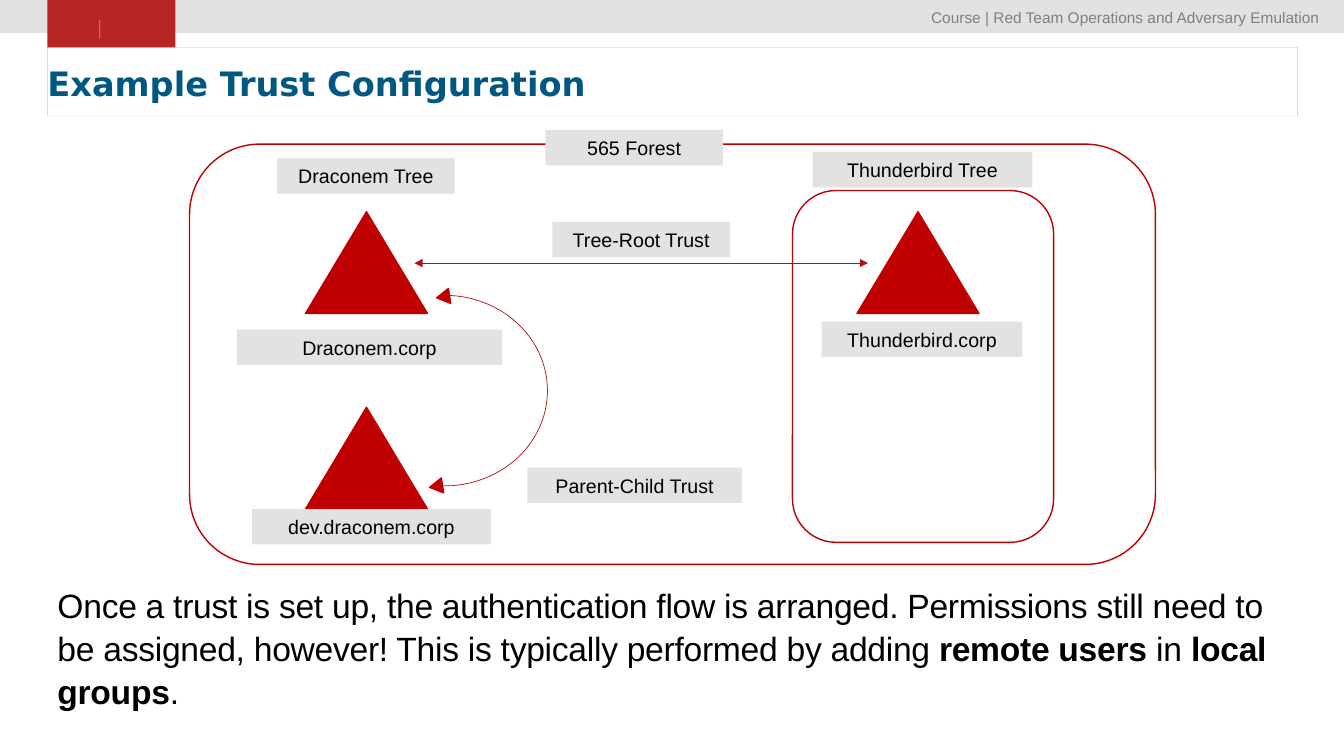
from pptx import Presentation
from pptx.dml.color import RGBColor
from pptx.enum.shapes import MSO_CONNECTOR as Connector, MSO_SHAPE as Shape
from pptx.enum.text import MSO_ANCHOR as Anchor, MSO_AUTO_SIZE as AutoSize, PP_ALIGN as Align
from pptx.oxml.ns import qn
from pptx.util import Inches, Pt
from lxml.etree import SubElement

BLACK = RGBColor(0x00, 0x00, 0x00)
WHITE = RGBColor(0xFF, 0xFF, 0xFF)
PALE_GRAY = RGBColor(0xE3, 0xE1, 0xE1)
MID_GRAY = RGBColor(0x7F, 0x7F, 0x7F)
TAB_RED = RGBColor(0xB5, 0x26, 0x24)
TREE_RED = RGBColor(0xC0, 0x00, 0x00)
TRUST_RED = RGBColor(0xB1, 0x11, 0x16)
TITLE_BLUE = RGBColor(0x00, 0x58, 0x80)

LABELS = [
    ("Draconem.corp", 2.35, 3.27, 2.63),
    ("dev.draconem.corp", 2.5, 5.05, 2.37),
    ("565 Forest", 5.41, 1.29, 1.76),
    ("Draconem Tree", 2.75, 1.57, 1.76),
    ("Thunderbird Tree", 8.06, 1.51, 2.18),
    ("Thunderbird.corp", 8.15, 3.19, 1.99),
    ("Tree-Root Trust", 5.48, 2.2, 1.76),
    ("Parent-Child Trust", 5.23, 4.64, 2.13),
]
DOMAINS = [(3.03, 2.1), (3.03, 4.04), (8.5, 2.1)]
ARC_HEADS = [(4.32, 2.88), (4.25, 4.76)]


def place(shape, left, top, width, height):
    shape.left, shape.top = Inches(left), Inches(top)
    shape.width, shape.height = Inches(width), Inches(height)


def set_insets(frame, left, top, right, bottom):
    frame.margin_left, frame.margin_top = Inches(left), Inches(top)
    frame.margin_right, frame.margin_bottom = Inches(right), Inches(bottom)


def write(frame, *runs, size=14, font="Arial", color=BLACK, bold=False,
          align=Align.LEFT, anchor=Anchor.TOP, line_spacing=None, tracking=0):
    """Fill one paragraph; a run is text, or a (text, bold) pair."""
    frame.word_wrap = True
    frame.auto_size = AutoSize.NONE
    frame.vertical_anchor = anchor
    paragraph = frame.paragraphs[0]
    paragraph.alignment = align
    paragraph.space_before = Pt(0)
    if line_spacing:
        paragraph.line_spacing = line_spacing
    for item in runs:
        text, is_bold = item if isinstance(item, tuple) else (item, bold)
        run = paragraph.add_run()
        run.text = text
        run.font.size, run.font.name, run.font.bold = Pt(size), font, is_bold
        run.font.color.rgb = color
        if tracking:
            run._r.get_or_add_rPr().set("spc", str(round(tracking * 100)))


def set_line(line, color, width, opacity=100):
    line.color.rgb = color
    line.width = Pt(width)
    if opacity < 100:
        color_element = line._ln.find(".//" + qn("a:srgbClr"))
        SubElement(color_element, qn("a:alpha"), val=str(opacity * 1000))


def add_shape(slide, kind, left, top, width, height, fill=None, line=None, weight=1):
    shape = slide.shapes.add_shape(kind, Inches(left), Inches(top), Inches(width), Inches(height))
    shape.shadow.inherit = False
    if fill is None:
        shape.fill.background()
    else:
        shape.fill.solid()
        shape.fill.fore_color.rgb = fill
    if line is None:
        shape.line.fill.background()
    else:
        set_line(shape.line, line, weight)
    return shape


def add_line(slide, start, end, color, opacity=100, arrows=False):
    line = slide.shapes.add_connector(Connector.STRAIGHT, *map(Inches, start + end))
    set_line(line.line, color, 0.5, opacity)
    if arrows:
        for side in ("a:headEnd", "a:tailEnd"):
            SubElement(line.line._ln, qn(side), type="triangle")
    SubElement(line._element.spPr, qn("a:effectLst"))


def add_label(slide, text, left, top, width):
    label = add_shape(slide, Shape.RECTANGLE, left, top, width, 0.35, PALE_GRAY)
    write(label.text_frame, text, align=Align.CENTER, anchor=Anchor.MIDDLE)


def add_header(slide):
    add_shape(slide, Shape.RECTANGLE, 0, 0, 13.33, 0.33, PALE_GRAY)
    course = slide.shapes.add_textbox(Inches(8.96), 0, Inches(4.38), Inches(0.34))
    set_insets(course.text_frame, 0.16, 0.08, 0.25, 0.08)
    write(course.text_frame, "Course | Red Team Operations and Adversary Emulation",
          size=11, color=MID_GRAY, align=Align.RIGHT)
    add_shape(slide, Shape.RECTANGLE, 0.47, 0, 1.27, 0.47, TAB_RED)
    add_line(slide, (0.99, 0.2), (0.99, 0.38), WHITE, opacity=50)


def fill_title(title):
    place(title, 0.47, 0.47, 12.4, 0.68)
    set_line(title.line, BLACK, 0.5, opacity=15)
    set_insets(title.text_frame, 0, 0.2, 0, 0.12)
    write(title.text_frame, "Example Trust Configuration", size=24, font="DejaVu Sans",
          color=TITLE_BLUE, bold=True, line_spacing=0.9)


def fill_body(body):
    place(body, 0.47, 5.73, 12.4, 1.3)
    properties = body.text_frame.paragraphs[0]._p.get_or_add_pPr()
    properties.set("marL", "0")
    properties.set("indent", "0")
    SubElement(properties, qn("a:buNone"))
    write(body.text_frame,
          "Once a trust is set up, the authentication flow is arranged. Permissions still "
          "need to be assigned, however! This is typically performed by adding ",
          ("remote users ", True), "in ", ("local groups", True), ".",
          size=24, line_spacing=1.06, tracking=-0.2)


def add_forest(slide):
    add_shape(slide, Shape.ROUNDED_RECTANGLE, 1.88, 1.43, 9.58, 4.17, WHITE, TREE_RED)
    add_shape(slide, Shape.ROUNDED_RECTANGLE, 7.86, 1.89, 2.59, 3.49, line=TREE_RED)
    for left, top in DOMAINS:
        add_shape(slide, Shape.ISOSCELES_TRIANGLE, left, top, 1.21, 1.01, TREE_RED, TREE_RED)
    for label in LABELS:
        add_label(slide, *label)


def add_trusts(slide):
    add_line(slide, (4.11, 2.61), (8.61, 2.61), TRUST_RED, arrows=True)
    arc = add_shape(slide, Shape.ARC, 3.39, 2.93, 2.04, 1.89, line=TRUST_RED, weight=0.5)
    arc.adjustments[0], arc.adjustments[1] = 162, 56.12
    for left, top in ARC_HEADS:
        head = add_shape(slide, Shape.ISOSCELES_TRIANGLE, left, top, 0.15, 0.13,
                         TREE_RED, TREE_RED)
        head.rotation = 261.5


def main():
    presentation = Presentation()
    presentation.slide_width, presentation.slide_height = Inches(13.33), Inches(7.5)
    slide = presentation.slides.add_slide(presentation.slide_layouts[1])
    add_header(slide)
    fill_title(slide.shapes.title)
    fill_body(slide.placeholders[1])
    add_forest(slide)
    add_trusts(slide)
    presentation.save("out.pptx")


if __name__ == "__main__":
    main()
